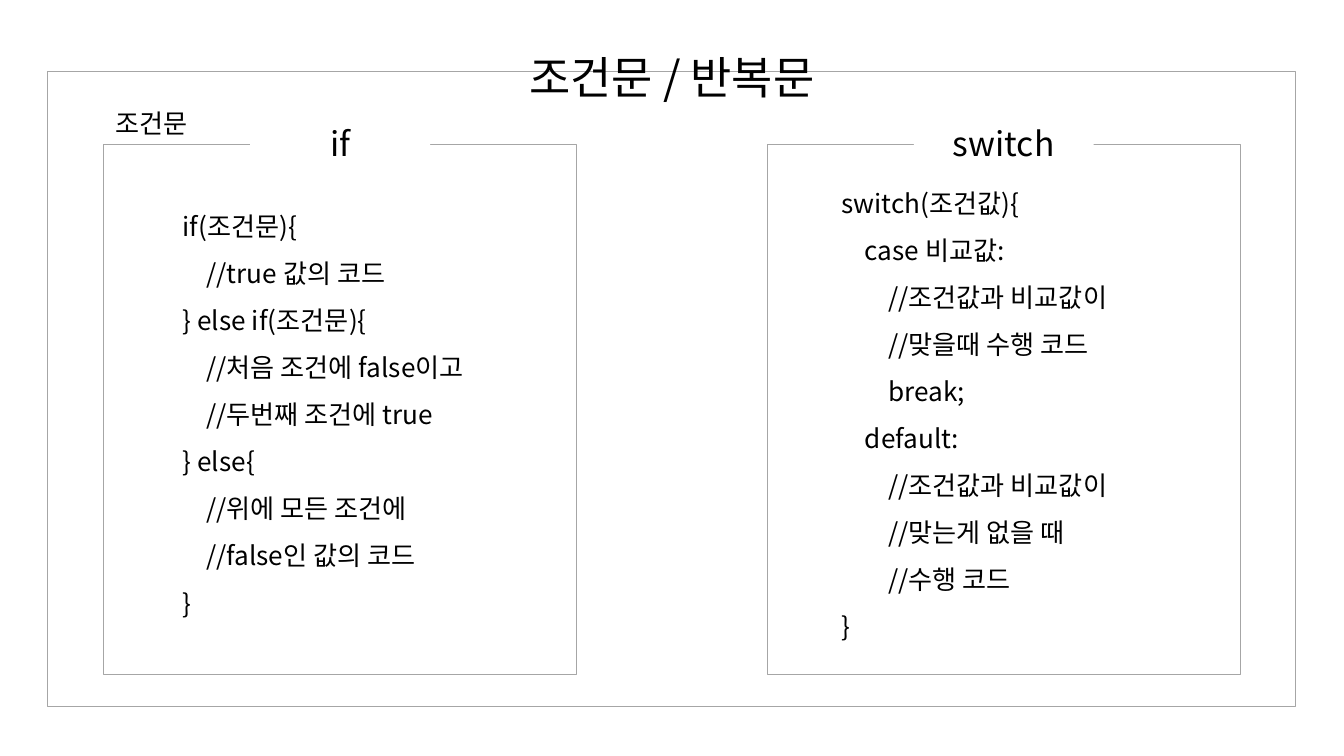
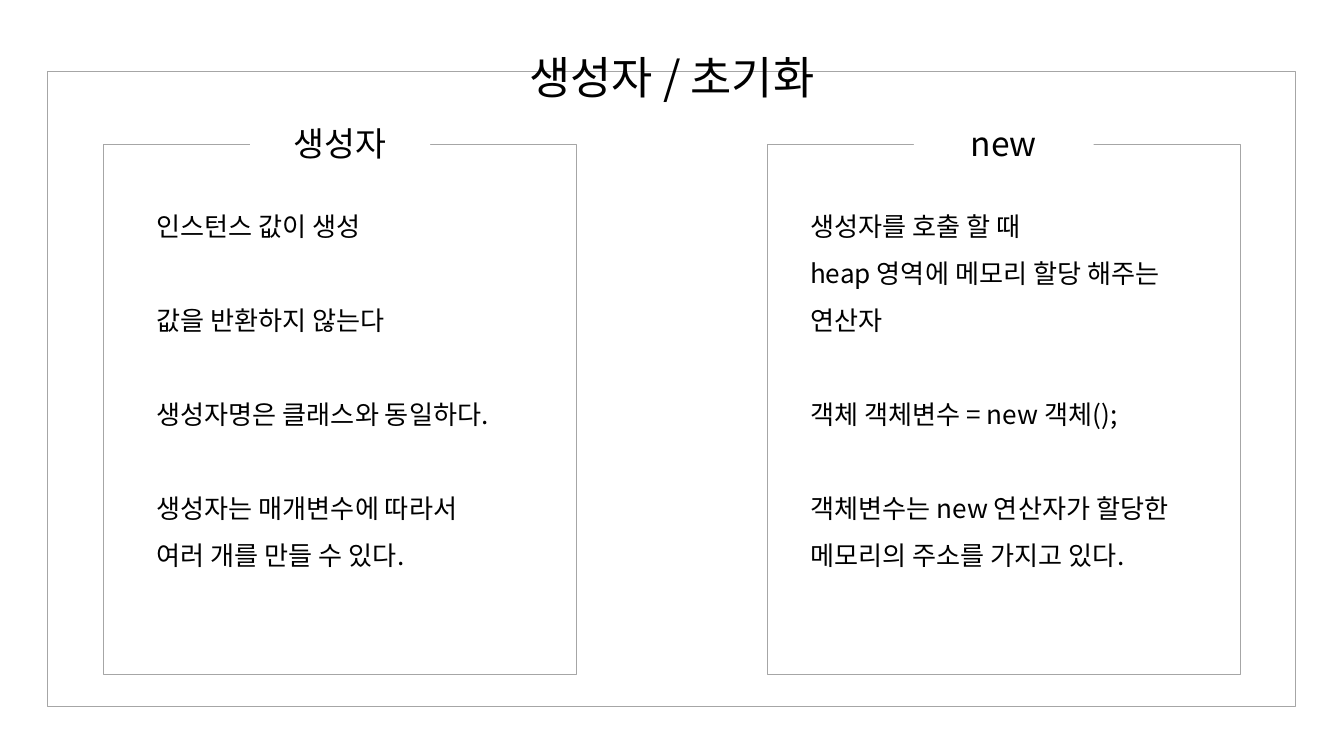
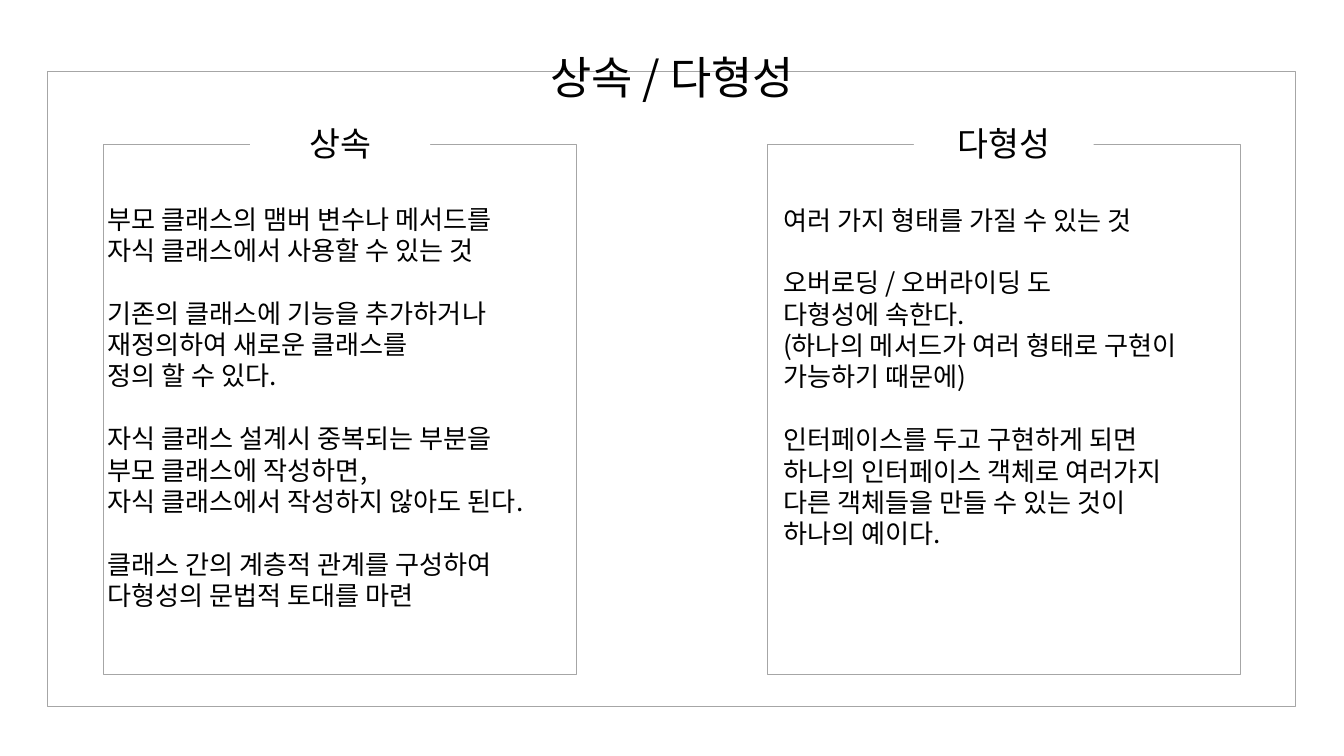
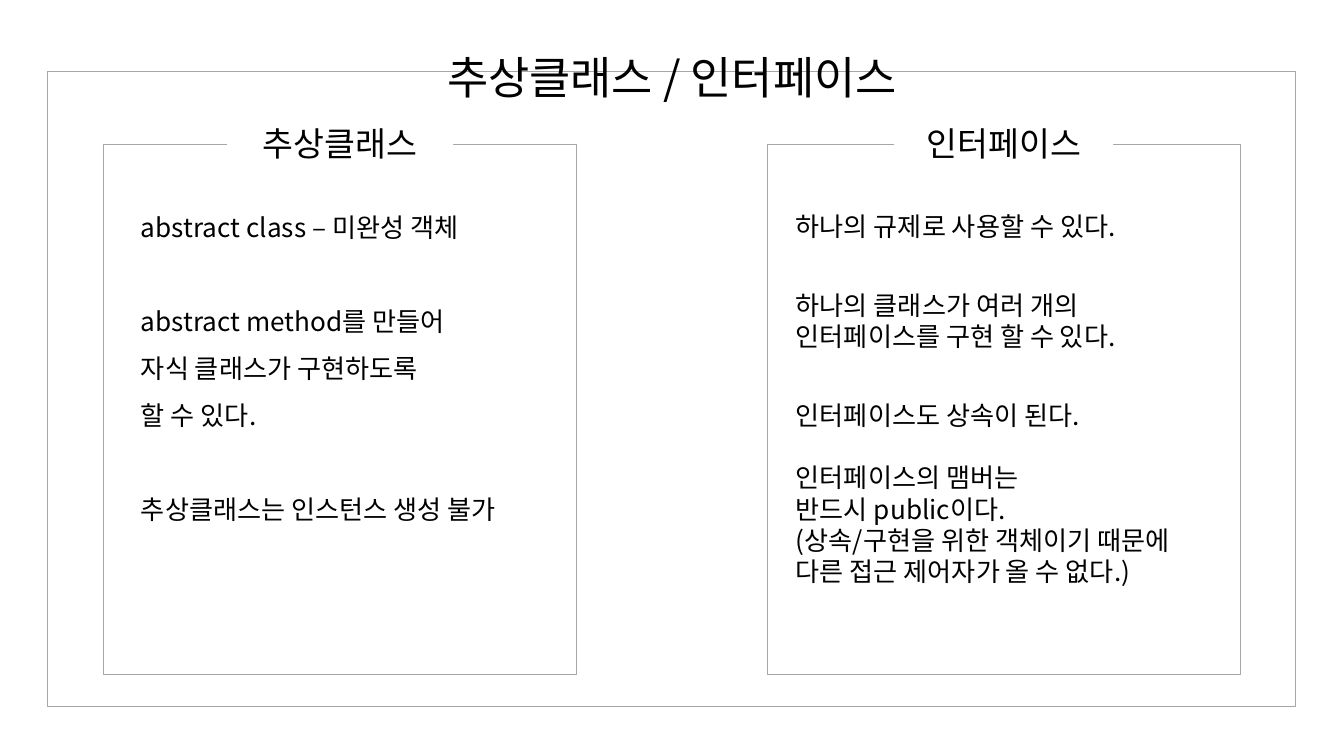
from dataclasses import dataclass
from typing import Optional

from lxml import etree
from pptx import Presentation
from pptx import util as u
from pptx.dml.color import RGBColor
from pptx.enum import shapes, text
from pptx.oxml.ns import qn

FONT = "Noto Sans CJK KR"
BLACK, WHITE, GRAY = "000000", "FFFFFF", "A6A6A6"
PAGE_WIDTH, PAGE_HEIGHT = 25.4, 14.29
PANEL_LEFTS = (1.96, 14.5)
PANEL_TOP, PANEL_WIDTH, PANEL_HEIGHT = 2.72, 8.94, 10.03
LINE_RATIO = 1.2  # height of a single line relative to the font size
BODY_SIZE = 14
CODE_INDENT = 0.44


def color(value):
    return RGBColor.from_string(value)


@dataclass
class Panel:
    """A headed box; blank lines in body separate blocks, tabs indent code."""
    heading: str
    body: str
    width: float
    top: float = 3.56
    spacing: float = 1.5
    gaps: Optional[list] = None  # line heights between blocks
    heading_width: float = 3.4


class Deck:
    def __init__(self):
        self.deck = Presentation()
        self.deck.slide_width = u.Cm(PAGE_WIDTH)
        self.deck.slide_height = u.Cm(PAGE_HEIGHT)
        self.page = None

    def add_page(self, title, title_width):
        self.page = self.deck.slides.add_slide(self.deck.slide_layouts[5])
        self.rectangle(0.89, 1.35, 23.6, 12, line_width=0.5)
        box = self.page.shapes.title
        box.left, box.top = u.Cm((PAGE_WIDTH - title_width) / 2), u.Cm(0.81)
        box.width, box.height = u.Cm(title_width), u.Cm(1.27)
        self.page.shapes.element.append(box.element)  # in front of the frame
        self.fill_text(box, [title], 24, align=text.PP_ALIGN.CENTER)

    def rectangle(self, left, top, width, height, fill=None, line_width=None):
        box = self.page.shapes.add_shape(
            shapes.MSO_SHAPE.RECTANGLE,
            u.Cm(left), u.Cm(top), u.Cm(width), u.Cm(height))
        box.shadow.inherit = False
        if fill:
            box.fill.solid()
            box.fill.fore_color.rgb = color(fill)
        else:
            box.fill.background()
        if line_width:
            box.line.color.rgb = color(GRAY)
            box.line.width = u.Pt(line_width)
        else:
            box.line.fill.background()
        return box

    def fill_text(self, box, lines, size, spacing=1, align=text.PP_ALIGN.LEFT,
                  anchor=text.MSO_ANCHOR.TOP):
        frame = box.text_frame
        frame.word_wrap = True
        frame.auto_size = text.MSO_AUTO_SIZE.NONE
        frame.vertical_anchor = anchor
        frame.text = "\n".join(line.lstrip("\t") for line in lines)
        for para, line in zip(frame.paragraphs, lines):
            para.alignment = align
            para.line_spacing = u.Pt(size * LINE_RATIO * spacing)
            para.font.size = u.Pt(size)
            para.font.color.rgb = color(BLACK)
            para.font.name = FONT
            depth = line.count("\t")
            if depth:
                indent = u.Cm(CODE_INDENT * depth)
                para._p.get_or_add_pPr().set("marL", str(int(indent)))
        for props in box.element.iter(qn("a:defRPr")):
            etree.SubElement(props, qn("a:ea"), typeface=FONT)

    def text_box(self, left, top, width, height, lines, spacing=1):
        box = self.page.shapes.add_textbox(
            u.Cm(left), u.Cm(top), u.Cm(width), u.Cm(height))
        self.fill_text(box, lines, BODY_SIZE, spacing)
        return box

    def panel(self, left, panel):
        center = left + PANEL_WIDTH / 2
        self.rectangle(left, PANEL_TOP, PANEL_WIDTH, PANEL_HEIGHT, line_width=0.25)
        heading = self.rectangle(center - panel.heading_width / 2, 1.9,
                                 panel.heading_width, 1.6, fill=WHITE)
        self.fill_text(heading, [panel.heading], 18, align=text.PP_ALIGN.CENTER,
                       anchor=text.MSO_ANCHOR.MIDDLE)
        self.body(center, panel)

    def body(self, center, panel):
        blocks = [block.split("\n") for block in panel.body.split("\n\n")]
        lines = [line for block in blocks for line in block]
        gaps = panel.gaps or [panel.spacing] * (len(blocks) - 1)
        pitch = u.Pt(BODY_SIZE * LINE_RATIO)
        height = pitch.cm * (len(lines) * panel.spacing + sum(gaps)) + 0.25
        box = self.text_box(center - panel.width / 2, panel.top,
                            panel.width, height, lines, panel.spacing)
        first = 0
        for block, gap in zip(blocks, gaps):
            first += len(block)
            box.text_frame.paragraphs[first].space_before = u.Pt(pitch.pt * gap)


IF_CODE = """if(조건문){
\t//true 값의 코드
} else if(조건문){
\t//처음 조건에 false이고
\t//두번째 조건에 true
} else{
\t//위에 모든 조건에
\t//false인 값의 코드
}"""

SWITCH_CODE = """switch(조건값){
\tcase 비교값:
\t\t//조건값과 비교값이
\t\t//맞을때 수행 코드
\t\tbreak;
\tdefault:
\t\t//조건값과 비교값이
\t\t//맞는게 없을 때
\t\t//수행 코드
}"""

CONSTRUCTOR = """인스턴스 값이 생성

값을 반환하지 않는다

생성자명은 클래스와 동일하다.

생성자는 매개변수에 따라서
여러 개를 만들 수 있다."""

NEW_OPERATOR = """생성자를 호출 할 때
heap 영역에 메모리 할당 해주는
연산자

객체 객체변수 = new 객체();

객체변수는 new 연산자가 할당한
메모리의 주소를 가지고 있다."""

INHERITANCE = """부모 클래스의 맴버 변수나 메서드를
자식 클래스에서 사용할 수 있는 것

기존의 클래스에 기능을 추가하거나
재정의하여 새로운 클래스를
정의 할 수 있다.

자식 클래스 설계시 중복되는 부분을
부모 클래스에 작성하면,
자식 클래스에서 작성하지 않아도 된다.

클래스 간의 계층적 관계를 구성하여
다형성의 문법적 토대를 마련"""

POLYMORPHISM = """여러 가지 형태를 가질 수 있는 것

오버로딩 / 오버라이딩 도
다형성에 속한다.
(하나의 메서드가 여러 형태로 구현이
가능하기 때문에)

인터페이스를 두고 구현하게 되면
하나의 인터페이스 객체로 여러가지
다른 객체들을 만들 수 있는 것이
하나의 예이다."""

ABSTRACT_CLASS = """abstract class – 미완성 객체

abstract method를 만들어
자식 클래스가 구현하도록
할 수 있다.

추상클래스는 인스턴스 생성 불가"""

INTERFACE = """하나의 규제로 사용할 수 있다.

하나의 클래스가 여러 개의
인터페이스를 구현 할 수 있다.

인터페이스도 상속이 된다.

인터페이스의 맴버는
반드시 public이다.
(상속/구현을 위한 객체이기 때문에
다른 접근 제어자가 올 수 없다.)"""

PAGES = [
    ("조건문 / 반복문", 6.58,
     Panel("if", IF_CODE, 6.45),
     Panel("switch", SWITCH_CODE, 6.63, top=3.12)),
    ("생성자 / 초기화", 6.58,
     Panel("생성자", CONSTRUCTOR, 7.44),
     Panel("new", NEW_OPERATOR, 7.82)),
    ("상속 / 다형성", 5.74,
     Panel("상속", INHERITANCE, 9.3, top=3.71, spacing=1),
     Panel("다형성", POLYMORPHISM, 8.84, top=3.73, spacing=1)),
    ("추상클래스 / 인터페이스", 10.01,
     Panel("추상클래스", ABSTRACT_CLASS, 8.03, top=3.58, heading_width=4.27),
     Panel("인터페이스", INTERFACE, 8.36, top=3.86, spacing=1,
           gaps=[1.5, 1.5, 1], heading_width=4.14)),
]


def main():
    deck = Deck()
    for number, (title, title_width, *panels) in enumerate(PAGES):
        deck.add_page(title, title_width)
        for left, panel in zip(PANEL_LEFTS, panels):
            deck.panel(left, panel)
        if number == 0:
            deck.text_box(1.93, 1.9, 2.01, 0.86, ["조건문"])
    deck.deck.save("out.pptx")


if __name__ == "__main__":
    main()
